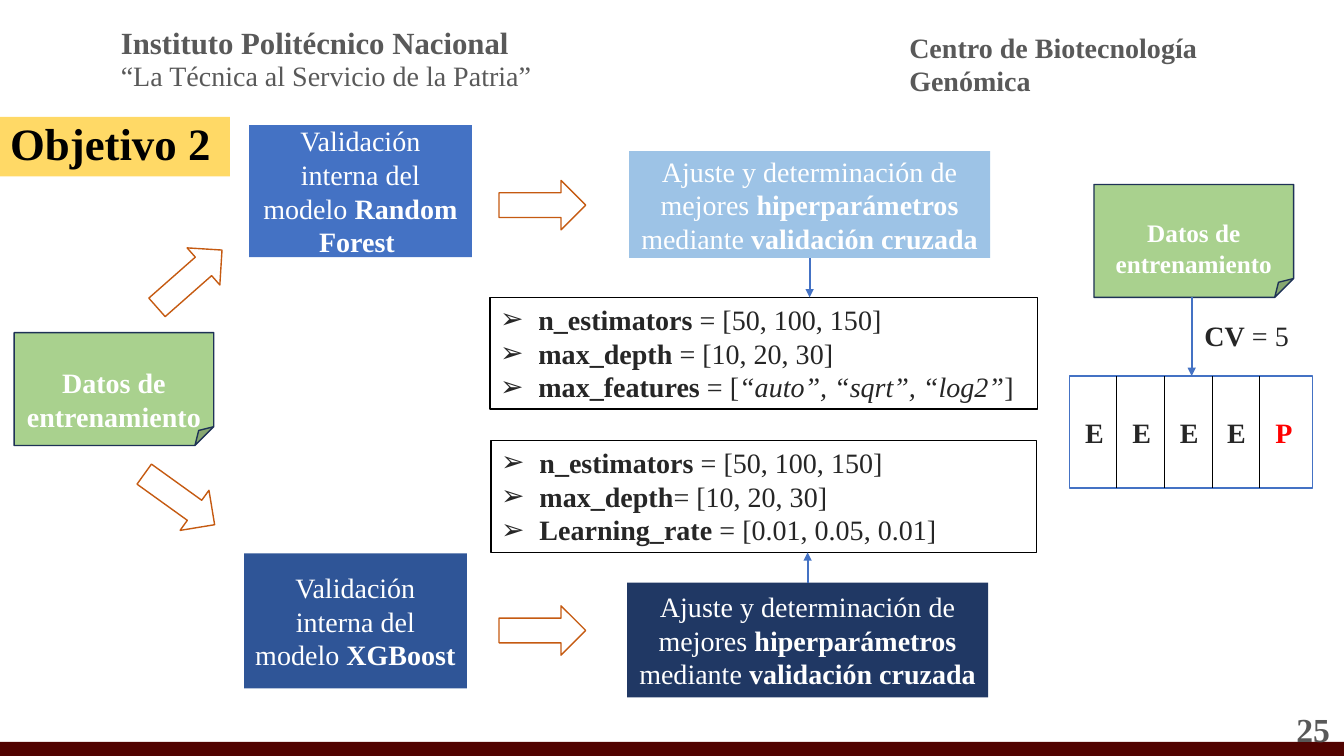
from pptx import Presentation
from pptx.dml.color import RGBColor
from pptx.enum.shapes import MSO_CONNECTOR, MSO_SHAPE
from pptx.enum.text import MSO_ANCHOR, MSO_AUTO_SIZE, PP_ALIGN
from pptx.oxml.ns import qn
from pptx.util import Inches, Pt
from lxml import etree

RECT, ARROW, NOTE = MSO_SHAPE.RECTANGLE, MSO_SHAPE.RIGHT_ARROW, MSO_SHAPE.FOLDED_CORNER
TOP, MIDDLE = MSO_ANCHOR.TOP, MSO_ANCHOR.MIDDLE
LEFT, CENTER, RIGHT = PP_ALIGN.LEFT, PP_ALIGN.CENTER, PP_ALIGN.RIGHT
STRAIGHT, NO_FIT = MSO_CONNECTOR.STRAIGHT, MSO_AUTO_SIZE.NONE

COLORS = {
    "maroon": "510301", "gray": "595959", "ink": "262626", "black": "000000",
    "white": "FFFFFF", "red": "FF0000", "blue": "4472C4", "mid_blue": "2F5597",
    "light_blue": "9DC3E6", "navy": "203864", "orange": "C55A11",
    "green": "A9D18E", "note_line": "1E3256", "yellow": "FFD966",
}
RGB = {name: RGBColor.from_string(value) for name, value in COLORS.items()}


def write(sp, paragraphs, size=20, color="ink", align=CENTER, anchor=TOP, bullet=None):
    tf = sp.text_frame
    for name, value in {"word_wrap": True, "auto_size": NO_FIT, "vertical_anchor": anchor}.items():
        setattr(tf, name, value)
    for i, runs in enumerate(paragraphs):
        p = tf.paragraphs[0] if i == 0 else tf.add_paragraph()
        p.alignment = align
        p.space_before = Pt(0)
        if bullet:
            pPr = p._p.get_or_add_pPr()
            pPr.set("marL", str(Inches(0.38)))
            pPr.set("indent", str(-Inches(0.38)))
            etree.SubElement(pPr, qn("a:buChar")).set("char", bullet)
        for text, style in runs:
            r = p.add_run()
            r.text = text
            font = {"name": "Times New Roman", "size": Pt(size), "bold": "b" in style, "italic": "i" in style}
            for name, value in font.items():
                setattr(r.font, name, value)
            r.font.color.rgb = RGB[color]


def paint(sp, fill=None, line=None, width=1):
    if fill:
        sp.fill.solid()
        sp.fill.fore_color.rgb = RGB[fill]
    else:
        sp.fill.background()
    if line:
        sp.line.color.rgb = RGB[line]
        sp.line.width = Pt(width)
    else:
        sp.line.fill.background()


prs = Presentation()
prs.slide_width, prs.slide_height = Inches(13.33), Inches(7.5)
s = prs.slides.add_slide(prs.slide_layouts[3])

title, forest_list, boost_list = s.placeholders
title.left, title.top, title.width, title.height = map(Inches, (0, 1.16, 2.28, 0.59))
paint(title, "yellow")
write(title, [[("Objetivo 2", "b")]], 32, "black", LEFT)
title.text_frame.paragraphs[0].line_spacing = 0.9

lists = [
    (forest_list, (4.86, 2.95, 5.43, 1.11), [
        [("n_estimators ", "b"), ("= [50, 100, 150]", "")],
        [("max_depth ", "b"), ("= [10, 20, 30]", "")],
        [("max_features ", "b"), ("= [", ""), ("“auto”, “sqrt”, “log2”", "i"), ("]", "")],
    ]),
    (boost_list, (4.87, 4.37, 5.41, 1.11), [
        [("n_estimators ", "b"), ("= [50, 100, 150]", "")],
        [("max_depth", "b"), ("= [10, 20, 30]", "")],
        [("Learning_rate ", "b"), ("= [0.01, 0.05, 0.01]", "")],
    ]),
]
for sp, box, paragraphs in lists:
    sp.left, sp.top, sp.width, sp.height = map(Inches, box)
    paint(sp, "white", "black")
    write(sp, paragraphs, align=LEFT, bullet="➢")

tuning = [[
    ("Ajuste y determinación de mejores ", ""), ("hiperparámetros", "b"),
    (" mediante ", ""), ("validación cruzada", "b"),
]]
forest = [[("Validación interna del modelo ", ""), ("Random Forest ", "b")]]
boost = [[("Validación interna del modelo ", ""), ("XGBoost", "b")]]
boxes = [
    ((0, 7.36, 13.33, 0.14), "maroon", None, []),
    ((2.47, 1.24, 2.21, 1.31), "blue", None, forest),
    ((2.42, 5.49, 2.21, 1.34), "mid_blue", None, boost),
    ((6.24, 1.5, 3.58, 1.06), "light_blue", None, tuning),
    ((6.22, 5.78, 3.58, 1.14), "navy", None, tuning),
    ((10.61, 3.73, 2.41, 1.11), "white", "blue", []),
]
for box, fill, line, paragraphs in boxes:
    sp = s.shapes.add_shape(RECT, *map(Inches, box))
    sp.shadow.inherit = False
    paint(sp, fill, line)
    write(sp, paragraphs, color="white", anchor=MIDDLE)

for x, y, size in [(0.14, 3.3, 20), (10.85, 1.83, 18)]:
    sp = s.shapes.add_shape(NOTE, *map(Inches, (x, y, 1.98, 1.12)))
    sp.shadow.inherit = False
    paint(sp, "green", "note_line")
    write(sp, [[("Datos de entrenamiento", "b")]], size, "white")
    sp.text_frame.margin_top = Inches(0.33)

for x, y, angle in [(1.45, 2.52, 318.6), (1.35, 4.71, 35.7), (4.95, 1.79, 0), (4.95, 6.01, 0)]:
    sp = s.shapes.add_shape(ARROW, *map(Inches, (x, y, 0.86, 0.49)))
    sp.shadow.inherit = False
    sp.rotation = angle
    paint(sp, line="orange")

lines = [
    (11.82, 2.95, 3.73, "blue", 1.5),
    (8.03, 2.56, 2.95, "blue", 1.5),
    (8.01, 5.78, 5.48, "blue", 1.5),
]
lines += [(11.07 + 0.475 * i, 4.84, 3.73, "black", 0.5) for i in range(4)]
for x, y1, y2, color, width in lines:
    cn = s.shapes.add_connector(STRAIGHT, *map(Inches, (x, y1, x, y2)))
    cn.line.color.rgb = RGB[color]
    cn.line.width = Pt(width)
    if color == "blue":
        etree.SubElement(cn.line._get_or_add_ln(), qn("a:tailEnd")).set("type", "triangle")
    etree.SubElement(cn._element.spPr, qn("a:effectLst"))

institute = [[("Instituto Politécnico Nacional", "b")], [("“La Técnica al Servicio de la Patria”", "")]]
center = [[("Centro de Biotecnología Genómica", "b")]]
labels = [
    ((1.1, 0.19, 4.55, 0.81), institute[:1], 22, "gray", LEFT, TOP),
    ((1.1, 0.53, 4.55, 0.44), institute[1:], 20, "gray", LEFT, TOP),
    ((8.92, 0.25, 4.2, 0.75), center, 20, "gray", LEFT, TOP),
    ((10.29, 7.03, 3, 0.4), [[("25", "b")]], 24, "gray", RIGHT, MIDDLE),
    ((11.76, 3.11, 1.21, 0.44), [[("CV", "b"), (" = 5", "")]], 20, "ink", CENTER, TOP),
]
for i, fold in enumerate("EEEEP"):
    color = "red" if fold == "P" else "ink"
    labels.append(((10.64 + 0.47 * i, 4.07, 0.43, 0.44), [[(fold, "b")]], 20, color, CENTER, TOP))
for box, paragraphs, size, color, align, anchor in labels:
    sp = s.shapes.add_textbox(*map(Inches, box))
    write(sp, paragraphs, size, color, align, anchor)

prs.save("out.pptx")
